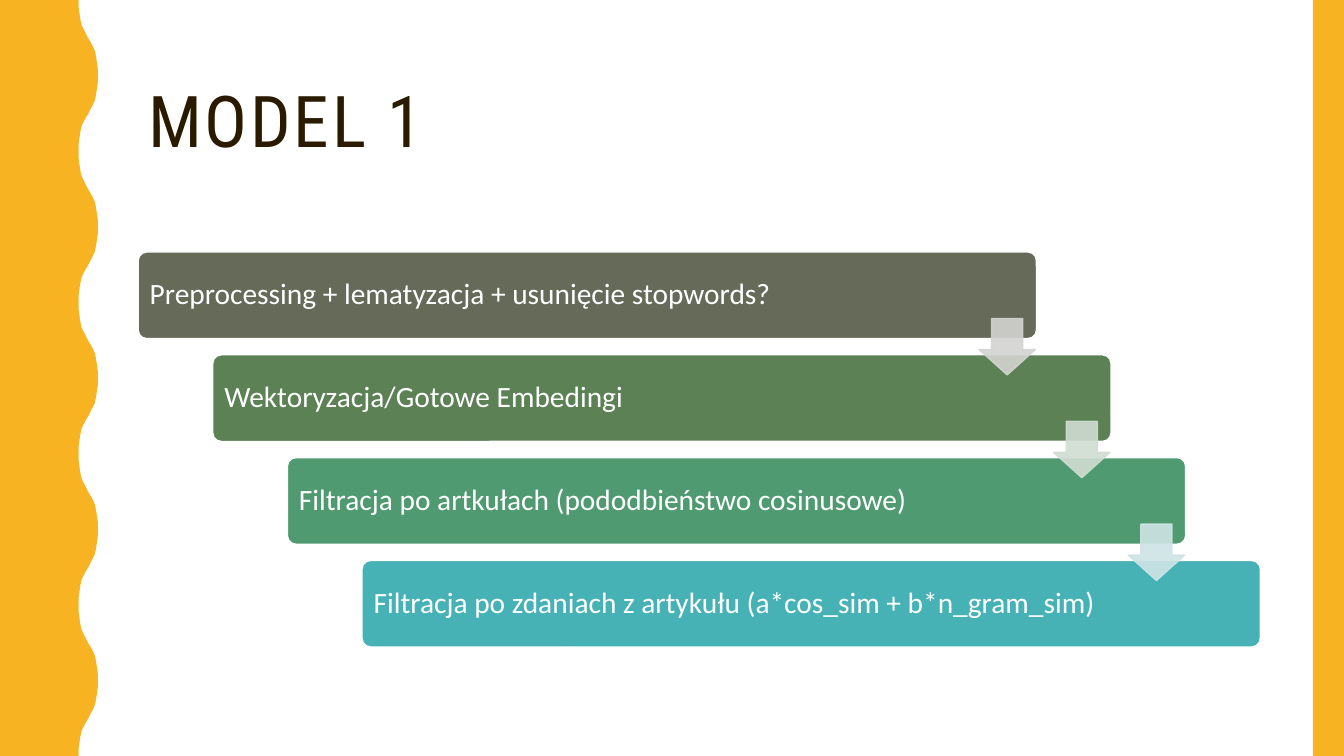
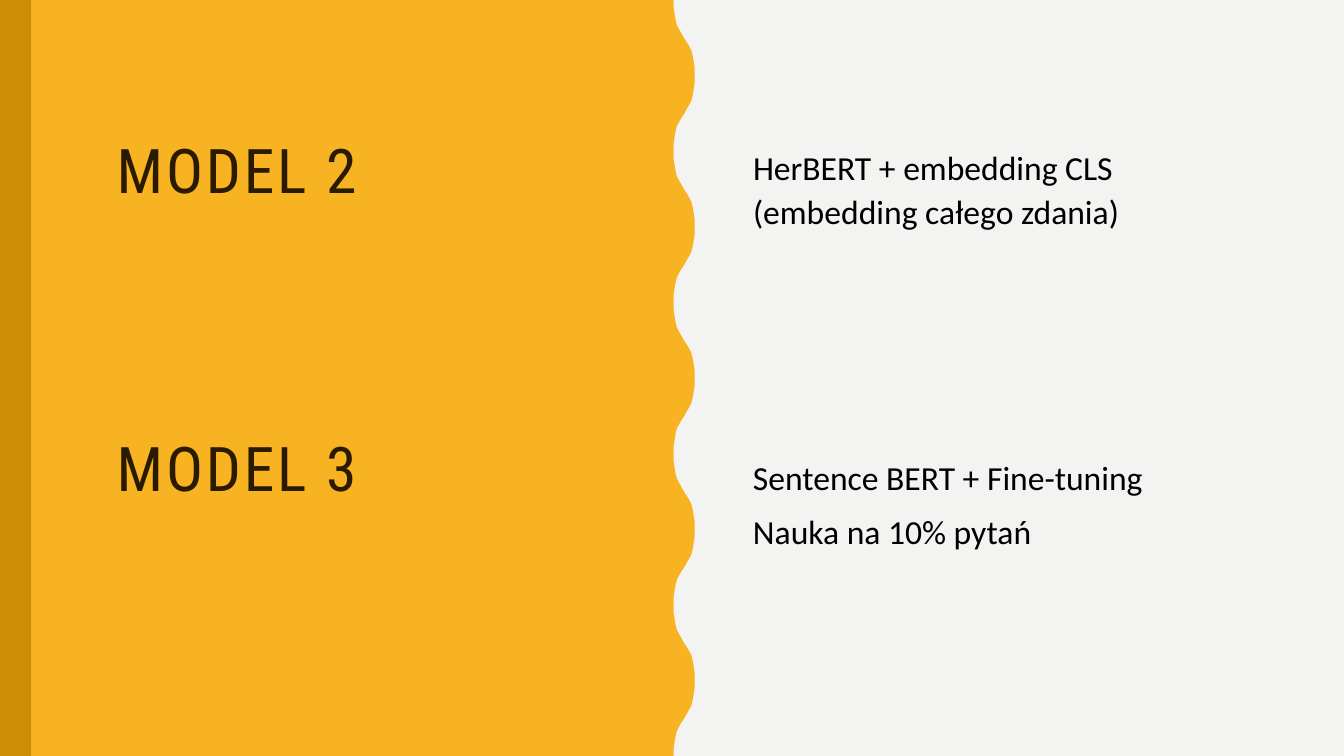
"""Build two slides that outline three question-answering models."""
from pptx import Presentation
from pptx.dml.color import RGBColor
from pptx.enum.shapes import MSO_SHAPE
from pptx.enum.text import MSO_ANCHOR, PP_ALIGN
from pptx.oxml.ns import qn
from pptx.util import Inches, Pt
from lxml.etree import SubElement

COLORS = {
    "white": "FFFFFF", "paper": "F3F3F2", "amber": "F8B323", "dark_amber": "CE8D07",
    "title": "2A1A00", "body": "000000",
}
TITLE_FONT, BODY_FONT = "Roboto Condensed", "Calibri"
SLIDE_WIDTH, SLIDE_HEIGHT, BAR_WIDTH = 13.33, 7.5, 0.31

STEPS = [
    ("Preprocessing + lematyzacja + usunięcie stopwords?", "656A59"),
    ("Wektoryzacja/Gotowe Embedingi", "5B8155"),
    ("Filtracja po artkułach (pododbieństwo cosinusowe)", "4F9A70"),
    ("Filtracja po zdaniach z artykułu (a*cos_sim + b*n_gram_sim)", "46B2B5"),
]
ARROW_COLORS = ["D3D4D1", "D0DDD2", "CFE4E5"]
STEP_LEFT, STEP_TOP, STEP_WIDTH, STEP_HEIGHT = 1.37, 2.5, 8.91, 0.86
STEP_SHIFT, STEP_PITCH = 0.74, 1.02
ARROW_SHIFT, ARROW_DROP, ARROW_SIZE = 8.34, 0.66, 0.56

MODELS = [
    {"title": "MODEL 2", "title_box": (1.06, 0.63, 4.94, 2.19),
     "lines": ["HerBERT + embedding CLS (embedding całego zdania)"],
     "body_box": (7.37, 0.62, 5.12, 2.47)},
    {"title": "MODEL 3", "title_box": (1.06, 3.58, 4.94, 2.19),
     "lines": ["Sentence BERT + Fine-tuning", "Nauka na 10% pytań"],
     "body_box": (7.37, 3.75, 5.73, 2.47)},
]

WAVE_COUNT, HALF_WAVE = 5, 0.75
RIPPLE = [
    (0, 0), (0, 0.07), (0.05, 0.14), (0.1, 0.2), (0.16, 0.25), (0.26, 0.29), (0.37, 0.33),
    (0.5, 0.38), (0.63, 0.42), (0.74, 0.46), (0.84, 0.5), (0.9, 0.55), (0.95, 0.61),
    (1, 0.68), (1, 0.75),
]


def rgb(color):
    return RGBColor.from_string(COLORS.get(color, color))


def new_slide(presentation, background):
    slide = presentation.slides.add_slide(presentation.slide_layouts[6])
    slide.background.fill.solid()
    slide.background.fill.fore_color.rgb = rgb(background)
    return slide


def paint(shape, color, line_color=None):
    shape.shadow.inherit = False
    shape.fill.solid()
    shape.fill.fore_color.rgb = rgb(color)
    if line_color:
        shape.line.color.rgb = rgb(line_color)
        shape.line.width = Pt(1)
    else:
        shape.line.fill.background()


def add_preset(slide, preset, box, color, line_color=None, adjustments=()):
    shape = slide.shapes.add_shape(preset, *map(Inches, box))
    for index, value in enumerate(adjustments):
        shape.adjustments[index] = value
    paint(shape, color, line_color)
    return shape


def add_bar(slide, left, color):
    add_preset(slide, MSO_SHAPE.RECTANGLE, (left, 0, BAR_WIDTH, SLIDE_HEIGHT), color)


def add_wavy_band(slide, edge, depth):
    half_waves = []
    for index in range(2 * WAVE_COUNT):
        for across, down in RIPPLE:
            reach = 1 - across if index % 2 else across
            half_waves.append((edge + depth * reach, index * HALF_WAVE + down))
    outline = half_waves + [(0, SLIDE_HEIGHT)]
    builder = slide.shapes.build_freeform(0, 0, scale=1.0)
    builder.add_line_segments([(Inches(x), Inches(y)) for x, y in outline], close=True)
    paint(builder.convert_to_shape(), "amber")


def write(shape, lines, font, size, color, line_spacing, space_before=0, tracking=0):
    frame = shape.text_frame
    frame.word_wrap = True
    frame.vertical_anchor = MSO_ANCHOR.MIDDLE
    for index, line in enumerate(lines):
        paragraph = frame.add_paragraph() if index else frame.paragraphs[0]
        paragraph.alignment = PP_ALIGN.LEFT
        paragraph.line_spacing = line_spacing
        if index:
            paragraph.space_before = Pt(space_before)
        run = paragraph.add_run()
        run.text = line
        run.font.name = font
        run.font.size = Pt(size)
        run.font.color.rgb = rgb(color)
        if tracking:
            run.font._element.set("spc", str(tracking * 100))


def add_title(slide, text, box, size):
    shape = slide.shapes.add_textbox(*map(Inches, box))
    write(shape, [text], TITLE_FONT, size, "title", 0.9, tracking=2)


def add_step(slide, index, text, color):
    box = (STEP_LEFT + index * STEP_SHIFT, STEP_TOP + index * STEP_PITCH,
           STEP_WIDTH, STEP_HEIGHT)
    shape = add_preset(slide, MSO_SHAPE.ROUNDED_RECTANGLE, box, color, "white", [0.1])
    shape.text_frame.margin_left = Inches(0.09)
    write(shape, [text], BODY_FONT, 21, "white", 0.9)


def add_step_arrow(slide, index, color):
    box = (STEP_LEFT + index * STEP_SHIFT + ARROW_SHIFT,
           STEP_TOP + index * STEP_PITCH + ARROW_DROP, ARROW_SIZE, ARROW_SIZE)
    arrow = add_preset(slide, MSO_SHAPE.DOWN_ARROW, box, color, color, [0.55, 0.45])
    for fill_color in arrow._element.spPr.iter(qn("a:srgbClr")):
        SubElement(fill_color, qn("a:alpha"), val="90000")


def build_pipeline_slide(presentation):
    slide = new_slide(presentation, "white")
    add_title(slide, "MODEL 1", (1.37, 0.42, 11.13, 1.63), 51)
    add_wavy_band(slide, 0.78, 0.19)
    add_bar(slide, SLIDE_WIDTH - BAR_WIDTH, "amber")
    for index, (text, color) in enumerate(STEPS):
        add_step(slide, index, text, color)
    for index, color in enumerate(ARROW_COLORS):
        add_step_arrow(slide, index, color)


def build_models_slide(presentation):
    slide = new_slide(presentation, "paper")
    add_wavy_band(slide, 6.68, 0.21)
    add_bar(slide, 0, "dark_amber")
    for model in MODELS:
        add_title(slide, model["title"], model["title_box"], 44)
        body = slide.shapes.add_textbox(*map(Inches, model["body_box"]))
        write(body, model["lines"], BODY_FONT, 24, "body", 1.1, space_before=7)


def main():
    presentation = Presentation()
    presentation.slide_width = Inches(SLIDE_WIDTH)
    presentation.slide_height = Inches(SLIDE_HEIGHT)
    build_pipeline_slide(presentation)
    build_models_slide(presentation)
    presentation.save("out.pptx")


if __name__ == "__main__":
    main()
